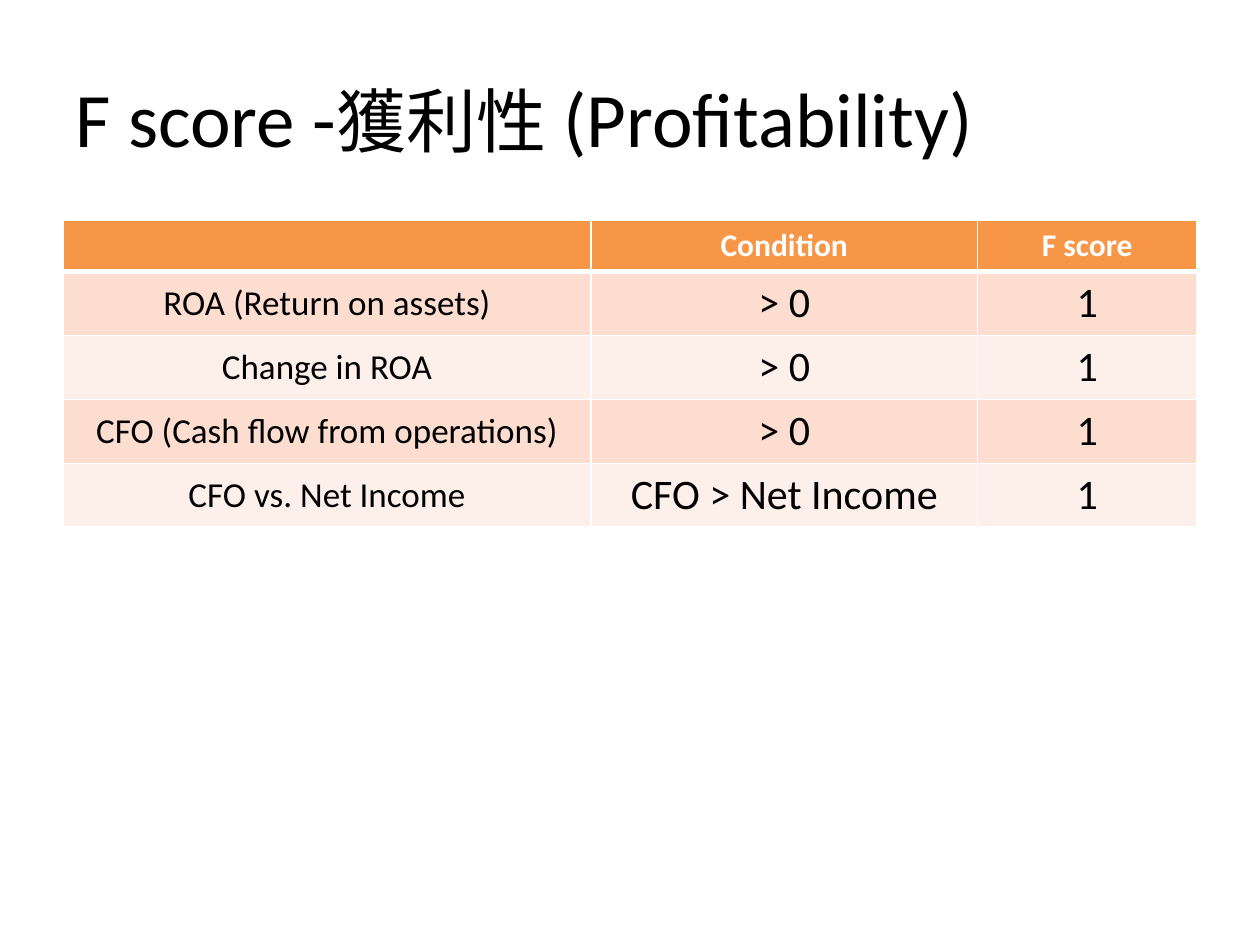
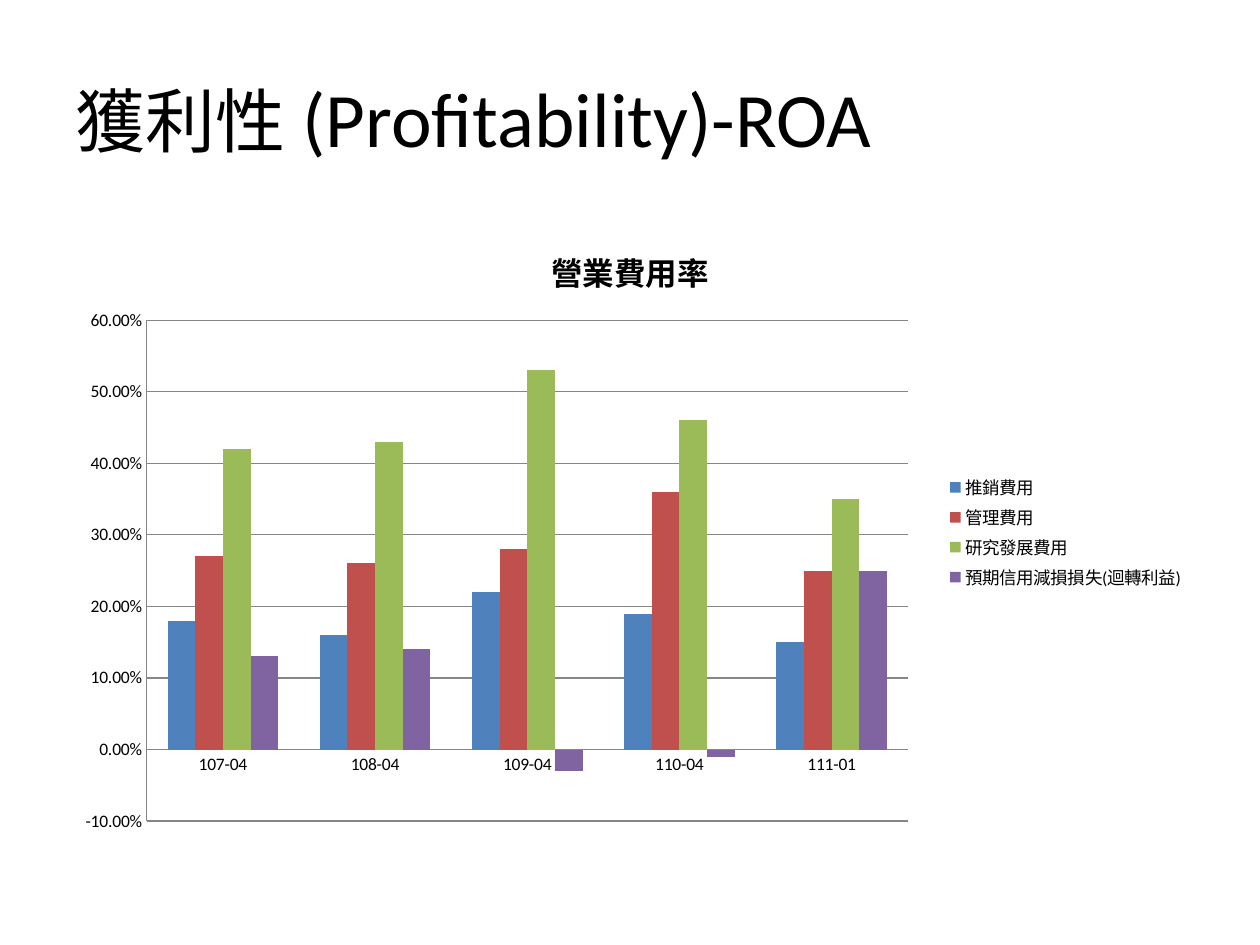
from lxml import etree
from pptx import Presentation
from pptx.chart.data import CategoryChartData
from pptx.dml.color import RGBColor
from pptx.enum.chart import XL_CHART_TYPE, XL_LEGEND_POSITION, XL_TICK_MARK
from pptx.enum.text import MSO_ANCHOR, PP_ALIGN
from pptx.oxml.ns import qn
from pptx.util import Inches, Pt

LEFT, CENTER = PP_ALIGN.LEFT, PP_ALIGN.CENTER
TOP, MIDDLE = MSO_ANCHOR.TOP, MSO_ANCHOR.MIDDLE
CLUSTERED = XL_CHART_TYPE.COLUMN_CLUSTERED
LEGEND_RIGHT = XL_LEGEND_POSITION.RIGHT
NO_TICK = XL_TICK_MARK.NONE

FONT = "Calibri"
COLORS = {
    "text": "000000", "page": "FFFFFF", "header": "F79646",
    "odd": "FCDDCF", "even": "FDEFE9", "axis": "868686",
    "selling": "4F81BD", "admin": "C0504D",
    "research": "9BBB59", "credit": "8064A2",
}
GRID_COLUMNS, GRID_ROWS = 20, 30
TITLE_ONLY = 5


def color(name):
    """Return the named colour of the palette."""
    return RGBColor.from_string(COLORS[name])


def format_font(font, size, shade="text", bold=False):
    """Apply the deck's typeface with a size, colour and weight."""
    font.name, font.size, font.bold = FONT, Pt(size), bold
    font.color.rgb = color(shade)


def write(frame, spans, align=LEFT, anchor=MIDDLE, **style):
    """Fill a text frame with one paragraph of (text, size) spans."""
    frame.vertical_anchor = anchor
    para = frame.paragraphs[0]
    para.alignment = align
    for text, size in spans:
        span = para.add_run()
        span.text = text
        format_font(span.font, size, **style)


def add_border(cell, side, width):
    """Draw one page-coloured border of a cell, before its fill."""
    properties = cell._tc.get_or_add_tcPr()
    line = etree.Element(qn(f"a:ln{side}"), w=str(Pt(width)))
    fill = etree.SubElement(line, qn("a:solidFill"))
    etree.SubElement(fill, qn("a:srgbClr"), val=COLORS["page"])
    properties.insert(len(properties.findall("*")) - 1, line)


def place_plot(chart, **shares):
    """Fix the inner plot area at the given shares of the chart."""
    area = chart.plots[0]._element.getparent()
    for old in area.findall(qn("c:layout")):
        area.remove(old)
    layout = etree.Element(qn("c:layout"))
    manual = etree.SubElement(layout, qn("c:manualLayout"))
    settings = {"layoutTarget": "inner", "xMode": "edge", "yMode": "edge", **shares}
    for tag, value in settings.items():
        etree.SubElement(manual, qn(f"c:{tag}"), val=str(value))
    area.insert(0, layout)


class Deck:
    """Hold the presentation, its grid and the current slide."""

    def __init__(self):
        """Start an empty 4:3 presentation."""
        self.deck = Presentation()
        self.deck.slide_width, self.deck.slide_height = Inches(10), Inches(7.5)
        self.page = None

    def across(self, columns):
        """Convert grid columns to a length."""
        return round(self.deck.slide_width * columns / GRID_COLUMNS)

    def down(self, rows):
        """Convert grid rows to a length."""
        return round(self.deck.slide_height * rows / GRID_ROWS)

    def area(self, top, height):
        """Return a full-width content area inside the margins."""
        return self.across(1), self.down(top), self.across(18), self.down(height)

    def add_page(self, *title_spans):
        """Add a slide with a left-aligned title."""
        self.page = self.deck.slides.add_slide(self.deck.slide_layouts[TITLE_ONLY])
        fill = self.page.background.fill
        fill.solid()
        fill.fore_color.rgb = color("page")
        title = self.page.shapes.title
        title.left, title.top, title.width, title.height = self.area(1.2, 5)
        write(title.text_frame, title_spans)

    def add_table(self, header, records, widths, row_height):
        """Add a banded table with a coloured header row."""
        rows = [header, *records]
        area = self.area(7, row_height * len(rows))
        table = self.page.shapes.add_table(len(rows), len(header), *area).table
        for column, width in zip(table.columns, widths):
            column.width = self.across(width)
        for row_index, record in enumerate(rows):
            table.rows[row_index].height = self.down(row_height)
            band = "odd" if row_index % 2 else "even"
            for column_index, text in enumerate(record):
                cell = table.cell(row_index, column_index)
                cell.fill.solid()
                cell.fill.fore_color.rgb = color(band if row_index else "header")
                if row_index == 0:
                    for side, width in (("L", 1), ("R", 1), ("T", 1), ("B", 3)):
                        add_border(cell, side, width)
                if not text:
                    continue
                if row_index == 0:
                    write(cell.text_frame, [(text, 18)], align=CENTER,
                          anchor=TOP, shade="page", bold=True)
                else:
                    size = 24 if column_index else 20
                    write(cell.text_frame, [(text, size)], align=CENTER)
                    cell.vertical_anchor = MIDDLE

    def add_column_chart(self, title, categories, series):
        """Add a clustered column chart of percentages with a legend."""
        data = CategoryChartData(number_format="0.00%")
        data.categories = categories
        for name, _, values in series:
            data.add_series(name, values)
        chart = self.page.shapes.add_chart(CLUSTERED, *self.area(7, 19.8), data).chart
        format_font(chart.font, 10)
        chart.has_title = True
        write(chart.chart_title.text_frame, [(title, 18)], align=CENTER, bold=True)
        chart.chart_title.include_in_layout = False
        chart.has_legend = True
        chart.legend.position = LEGEND_RIGHT
        chart.legend.include_in_layout = False
        plot = chart.plots[0]
        plot.gap_width, plot.overlap, plot.vary_by_categories = 150, 0, False
        for bars, (_, shade, _) in zip(plot.series, series):
            bars.invert_if_negative = False
            bars.format.fill.solid()
            bars.format.fill.fore_color.rgb = color(shade)
        value_axis = chart.value_axis
        value_axis.has_major_gridlines = True
        value_axis.minimum_scale, value_axis.maximum_scale = -0.1, 0.6
        value_axis.major_unit = 0.1
        value_axis.tick_labels.number_format = "0.00%"
        value_axis.tick_labels.number_format_is_linked = False
        for axis in (chart.category_axis, value_axis):
            axis.major_tick_mark = axis.minor_tick_mark = NO_TICK
        for part in (chart.category_axis, value_axis, value_axis.major_gridlines):
            part.format.line.color.rgb = color("axis")
            part.format.line.width = Pt(0.75)
        place_plot(chart, x=1.33 / 18, y=3.17 / 19.8, w=12.08 / 18, h=15.9 / 19.8)


deck = Deck()

deck.add_page(("F score -", 44), ("獲利性", 40), (" (Profitability)", 44))
deck.add_table(
    ("", "Condition", "F score"),
    [
        ("ROA (Return on assets)", "> 0", "1"),
        ("Change in ROA", "> 0", "1"),
        ("CFO (Cash flow from operations)", "> 0", "1"),
        ("CFO vs. Net Income", "CFO > Net Income", "1"),
    ],
    widths=(8.38, 6.14, 3.48),
    row_height=1.62,
)

deck.add_page(("獲利性", 40), (" (Profitability)-ROA", 44))
deck.add_column_chart(
    "營業費用率",
    ("107-04", "108-04", "109-04", "110-04", "111-01"),
    [
        ("推銷費用", "selling", (0.18, 0.16, 0.22, 0.19, 0.15)),
        ("管理費用", "admin", (0.27, 0.26, 0.28, 0.36, 0.25)),
        ("研究發展費用", "research", (0.42, 0.43, 0.53, 0.46, 0.35)),
        ("預期信用減損損失(迴轉利益)", "credit", (0.13, 0.14, -0.03, -0.01, 0.25)),
    ],
)

deck.deck.save("out.pptx")
